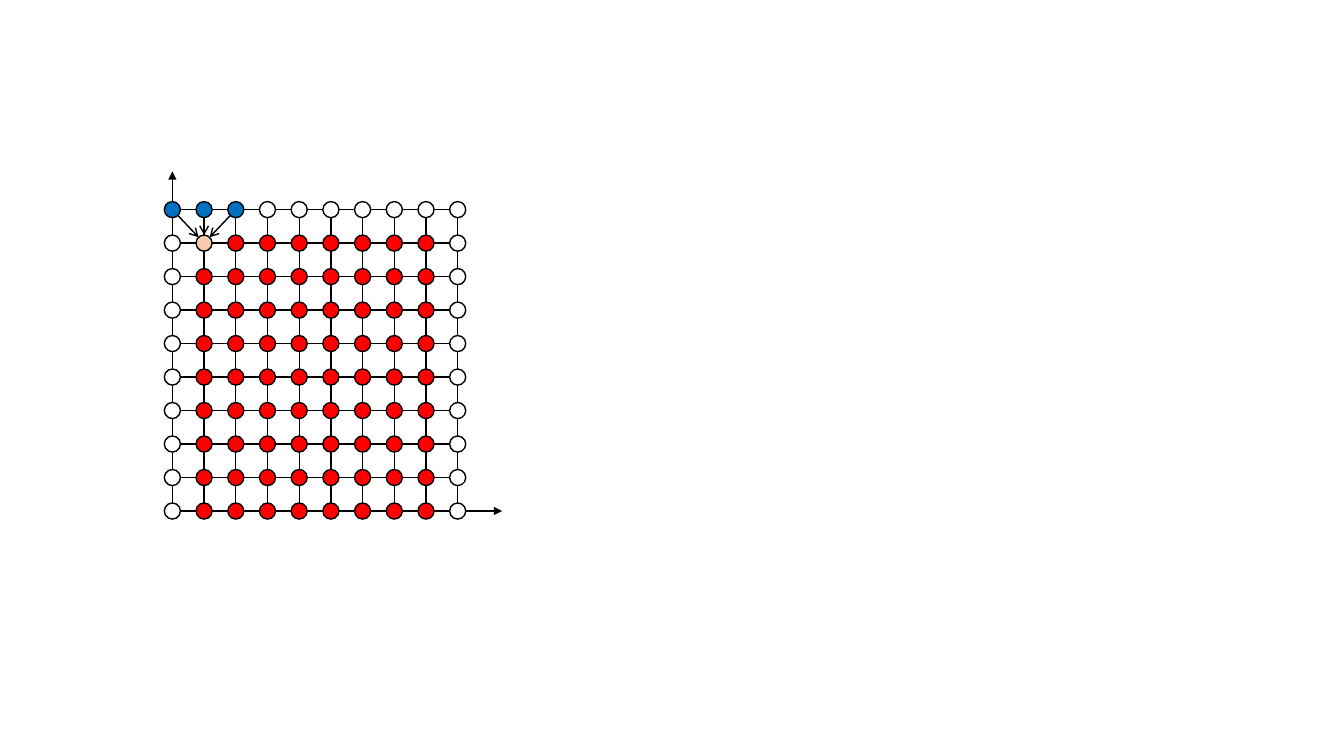
import math
from dataclasses import dataclass

from pptx import Presentation
from pptx import util as u
from pptx.dml.color import RGBColor
from pptx.enum import shapes
from pptx.oxml.ns import qn
from lxml import etree


@dataclass(frozen=True)
class Theme:
    line: str = "000000"
    boundary: str = "FFFFFF"
    unknown: str = "FF0000"
    source: str = "0070C0"
    target: str = "F8CBAD"
    line_width: float = 1


@dataclass(frozen=True)
class Box:
    left: float
    top: float
    width: float
    height: float


THEME = Theme()
SLIDE_WIDTH, SLIDE_HEIGHT = 13.33, 7.5
LAST = 9  # index of the last column and row of nodes
RADIUS = 0.08
X_AXIS_OVERHANG, Y_AXIS_OVERHANG = 0.44, 0.38
TARGET = (1, 1)
SOURCES = [(0, 0), (1, 0), (2, 0)]


def add_line(slide, start, end, arrowhead=None):
    line = slide.shapes.add_connector(
        shapes.MSO_CONNECTOR.STRAIGHT, *(u.Inches(value) for value in (*start, *end)))
    line.line.color.rgb = RGBColor.from_string(THEME.line)
    line.line.width = u.Pt(THEME.line_width)
    properties = line._element.spPr
    if arrowhead:
        outline = properties.find(qn("a:ln"))
        etree.SubElement(outline, qn("a:tailEnd"), type=arrowhead)
    etree.SubElement(properties, qn("a:effectLst"))


def add_node(slide, center, color):
    x, y = center
    node = slide.shapes.add_shape(
        shapes.MSO_SHAPE.OVAL, u.Inches(x - RADIUS), u.Inches(y - RADIUS),
        u.Inches(2 * RADIUS), u.Inches(2 * RADIUS))
    node.shadow.inherit = False
    node.fill.solid()
    node.fill.fore_color.rgb = RGBColor.from_string(color)
    node.line.color.rgb = RGBColor.from_string(THEME.line)
    node.line.width = u.Pt(THEME.line_width)


def node_color(column, row):
    if (column, row) in SOURCES:
        return THEME.source
    if (column, row) == TARGET:
        return THEME.target
    if row == 0 or column in (0, LAST):
        return THEME.boundary
    return THEME.unknown


def add_stencil_arrow(slide, start, end):
    """Point from the rim of one node to the rim of another."""
    (x1, y1), (x2, y2) = start, end
    share = RADIUS / math.dist(start, end)
    dx, dy = share * (x2 - x1), share * (y2 - y1)
    add_line(slide, (x1 + dx, y1 + dy), (x2 - dx, y2 - dy), "arrow")


def add_lattice(slide, box):
    """Draw the mesh, its axes, its nodes and the stencil; box spans node centers."""
    def center(column, row):
        return (box.left + box.width * column / LAST,
                box.top + box.height * row / LAST)

    right, bottom = box.left + box.width, box.top + box.height
    for index in range(LAST + 1):
        x, y = center(index, index)
        is_y_axis, is_x_axis = index == 0, index == LAST
        top = box.top - (Y_AXIS_OVERHANG if is_y_axis else RADIUS)
        end = right + (X_AXIS_OVERHANG if is_x_axis else RADIUS)
        add_line(slide, (x, bottom + RADIUS), (x, top),
                 "triangle" if is_y_axis else None)
        add_line(slide, (box.left - RADIUS, y), (end, y),
                 "triangle" if is_x_axis else None)
    for column in range(LAST + 1):
        for row in range(LAST + 1):
            add_node(slide, center(column, row), node_color(column, row))
    for source in SOURCES:
        add_stencil_arrow(slide, center(*source), center(*TARGET))


def main():
    presentation = Presentation()
    presentation.slide_width = u.Inches(SLIDE_WIDTH)
    presentation.slide_height = u.Inches(SLIDE_HEIGHT)
    slide = presentation.slides.add_slide(presentation.slide_layouts[6])
    add_lattice(slide, Box(1.71, 2.08, 2.83, 2.99))
    presentation.save("out.pptx")


if __name__ == "__main__":
    main()
